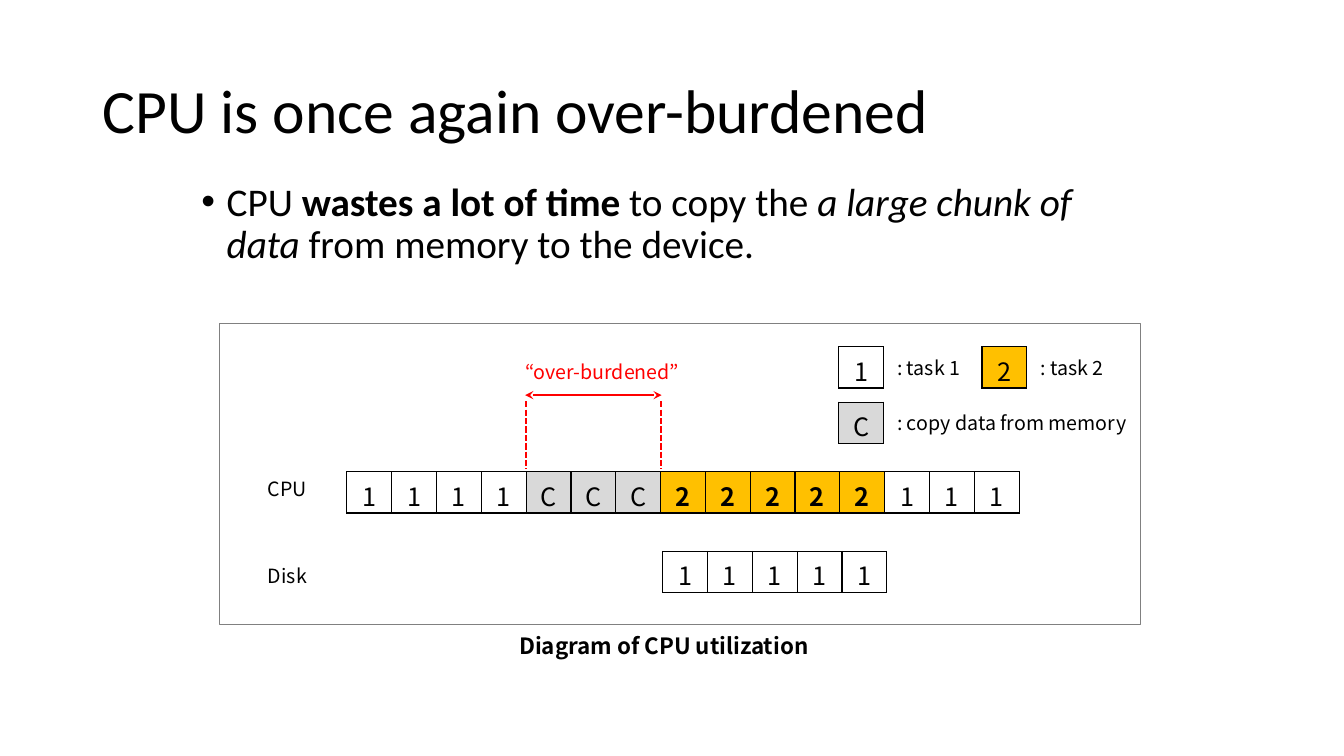
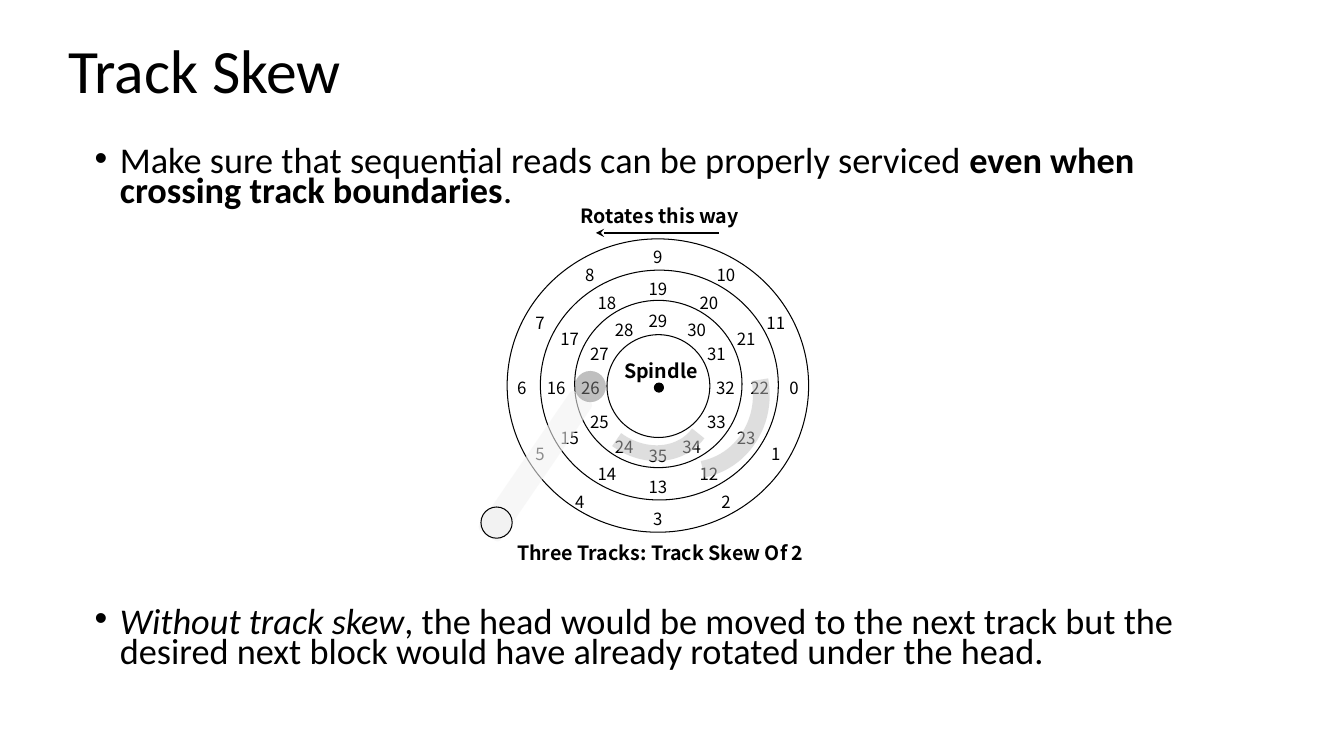
"""Build two slides on CPU utilization and disk track skew."""
from dataclasses import dataclass
from math import cos, radians, sin

from pptx import Presentation
from pptx.dml.color import RGBColor
from pptx.enum.dml import MSO_LINE
from pptx.enum.shapes import MSO_CONNECTOR, MSO_SHAPE
from pptx.enum.text import MSO_ANCHOR, PP_ALIGN
from pptx.oxml import parse_xml
from pptx.oxml.ns import nsdecls, qn
from pptx.oxml.xmlchemy import OxmlElement
from pptx.util import Inches, Pt


@dataclass(frozen=True)
class Theme:
    ink: str = "000000"
    alert: str = "FF0000"
    copying: str = "D9D9D9"
    second_task: str = "FFC000"
    frame: str = "808080"
    arm: str = "F2F2F2"
    swept: str = "BFBFBF"
    heading_font: str = "Calibri"
    diagram_font: str = "Noto Sans CJK KR"
    title: float = 44
    body: float = 28
    tight_body: float = 25.9
    cell: float = 18
    caption: float = 16
    label: float = 14
    sector: float = 12
    hairline: float = 0.75
    border: float = 1
    stroke: float = 1.5


THEME = Theme()
WIDTH, HEIGHT = 13.33, 7.5

BURDEN_TITLE = "CPU is once again over-burdened"
BURDEN_BODY = [("CPU ", ""), ("wastes a lot of time ", "b"), ("to copy the ", ""),
               ("a large chunk of data ", "i"), ("from memory to the device.", "")]
CPU_TASKS, DISK_TASKS = "1111CCC22222111", "11111"
TASK_FILLS = {"C": THEME.copying, "2": THEME.second_task}
LEGEND = [("1", ": task 1", 8.32, 3.44, 1.34), ("2", ": task 2", 9.74, 3.44, 0.87),
          ("C", ": copy data from memory", 8.32, 3.99, 2.66)]
ROW_LABELS = [("CPU", 4.68), ("Disk", 5.55)]
CELL_WIDTH, CELL_HEIGHT = 0.44 + 0.07 / 15, 0.41
CPU_LEFT, CPU_TOP = 3.44, 4.68

SKEW_TITLE = "Track Skew"
SKEW_BULLETS = [
    (1.43, [("Make sure that sequential reads can be properly serviced ", ""),
            ("even when crossing track boundaries", "b"), (".", "")]),
    (6.0, [("Without track skew", "i"),
           (", the head would be moved to the next track but the desired next block "
            "would have already rotated under the head.", "")]),
]
DISK_LABELS = [("Three Tracks: Track Skew Of 2", 5.02, 5.32, 3.06),
               ("Spindle", 6.07, 3.51, 0.97), ("Rotates this way", 5.56, 1.97, 1.97)]
CIRCLES = [(6.02, 3.32, 1.02, 1.02), (5.7, 2.98, 1.66, 1.66),
           (5.36, 2.68, 2.36, 2.28), (5.03, 2.37, 2.99, 2.91)]
TRACK_RADII = [(1.35, 1.3), (1.01, 0.98), (0.67, 0.67)]
SECTORS, SKEW = 12, 2
CENTER_X, CENTER_Y = 6.53, 3.85
NUDGES = {4: -0.1, 30: 0.05}
SWEPT_ARCS = [((5.9, 3.32, 1.06, 1.23), 126.4, 11.25),
              ((6.06, 3.18, 1.53, 1.45), 79.1, 12)]


def color(code):
    return RGBColor.from_string(code)


def fade(element, percent):
    for tint in element.iter(qn("a:srgbClr")):
        alpha = OxmlElement("a:alpha")
        alpha.set("val", str(percent * 1000))
        tint.append(alpha)


def style_runs(para, runs, font, size, tint, bold=False):
    for text, emphasis in runs:
        span = para.add_run()
        span.text = text
        span.font.name, span.font.size = font, Pt(size)
        span.font.bold = bold or emphasis == "b"
        span.font.italic = emphasis == "i"
        span.font.color.rgb = color(tint)


def write(page, area, text, *, size=THEME.label, font=THEME.diagram_font, tint=THEME.ink,
          bold=False, align=PP_ALIGN.LEFT, anchor=MSO_ANCHOR.TOP, spacing=None,
          bullet=False, side=0.1):
    box = page.shapes.add_textbox(*map(Inches, area))
    frame = box.text_frame
    frame.word_wrap, frame.vertical_anchor = True, anchor
    frame.margin_left = frame.margin_right = Inches(side)
    para = frame.paragraphs[0]
    para.alignment = align
    if spacing:
        para.line_spacing = spacing
    if bullet:
        para.space_before = Pt(10)
        properties = para._p.get_or_add_pPr()
        properties.set("marL", str(Inches(0.25)))
        properties.set("indent", str(-Inches(0.25)))
        for tag, key, value in (("a:buFont", "typeface", "Arial"), ("a:buChar", "char", "•")):
            mark = OxmlElement(tag)
            mark.set(key, value)
            properties.append(mark)
    runs = [(text, "")] if isinstance(text, str) else text
    style_runs(para, runs, font, size, tint, bold)


def add_title(page, left, top, text):
    write(page, (left, top, 11.5, 1.45), text, size=THEME.title, font=THEME.heading_font,
          anchor=MSO_ANCHOR.MIDDLE, spacing=0.9)


def draw(page, kind, area, *, fill=None, line=None, weight=THEME.hairline,
         opacity=None, rotation=0):
    shape = page.shapes.add_shape(kind, *map(Inches, area))
    shape.shadow.inherit = False
    shape.rotation = rotation
    if fill:
        shape.fill.solid()
        shape.fill.fore_color.rgb = color(fill)
    else:
        shape.fill.background()
    if line:
        shape.line.color.rgb = color(line)
        shape.line.width = Pt(weight)
    else:
        shape.line.fill.background()
    if opacity:
        fade(shape.element.spPr, opacity)


def connect(page, start, end, *, tint, dashed=False, arrows=()):
    line = page.shapes.add_connector(MSO_CONNECTOR.STRAIGHT, *map(Inches, start + end))
    line.line.color.rgb = color(tint)
    line.line.width = Pt(THEME.stroke)
    if dashed:
        line.line.dash_style = MSO_LINE.SQUARE_DOT
    for end_name in arrows:
        arrow = OxmlElement(f"a:{end_name}")
        arrow.set("type", "stealth")
        line.line._get_or_add_ln().append(arrow)
    line.element.spPr.append(OxmlElement("a:effectLst"))


def add_tasks(page, left, top, tasks, bottom=0.0):
    table = page.shapes.add_table(1, len(tasks), Inches(left), Inches(top),
                                  Inches(CELL_WIDTH * len(tasks)), Inches(CELL_HEIGHT)).table
    table.first_row = table.horz_banding = False
    for column, task in enumerate(tasks):
        table.columns[column].width = Inches(CELL_WIDTH)
        cell = table.cell(0, column)
        cell.margin_top, cell.margin_bottom = Inches(0.05), Inches(bottom)
        for edge in "LRTB":
            cell._tc.get_or_add_tcPr().append(parse_xml(
                f'<a:ln{edge} {nsdecls("a")} w="{Pt(THEME.border)}"><a:solidFill>'
                f'<a:srgbClr val="{THEME.ink}"/></a:solidFill></a:ln{edge}>'))
        if task in TASK_FILLS:
            cell.fill.solid()
            cell.fill.fore_color.rgb = color(TASK_FILLS[task])
        else:
            cell.fill.background()
        para = cell.text_frame.paragraphs[0]
        para.alignment = PP_ALIGN.CENTER
        style_runs(para, [(task, "")], THEME.diagram_font, THEME.cell, THEME.ink,
                   bold=task == "2" and len(tasks) > 1)


def build_burden(page):
    add_title(page, 0.92, 0.4, BURDEN_TITLE)
    write(page, (1.9, 1.76, 9.61, 1.2), BURDEN_BODY, size=THEME.body,
          font=THEME.heading_font, spacing=0.9, bullet=True)
    add_tasks(page, CPU_LEFT, CPU_TOP, CPU_TASKS, bottom=0.05)
    for text, top in ROW_LABELS:
        write(page, (2.56, top, 0.8, 0.34), text)
    write(page, (3.91, 6.22, 5.35, 0.37), "Diagram of CPU utilization", size=THEME.caption,
          bold=True, align=PP_ALIGN.CENTER)
    copy_start = CPU_LEFT + CELL_WIDTH * CPU_TASKS.index("C")
    copy_end = CPU_LEFT + CELL_WIDTH * CPU_TASKS.index("2")
    add_tasks(page, copy_end + 0.02, 5.47, DISK_TASKS)
    for edge in (copy_start, copy_end):
        connect(page, (edge, 3.98), (edge, 4.65), tint=THEME.alert, dashed=True)
    connect(page, (copy_start - 0.01, 3.92), (copy_end + 0.01, 3.92), tint=THEME.alert,
            arrows=("headEnd", "tailEnd"))
    write(page, (5.11, 3.52, 1.8, 0.34), "“over-burdened”", tint=THEME.alert)
    for task, text, left, top, width in LEGEND:
        add_tasks(page, left, top, task)
        write(page, (left + 0.48, top + 0.04, width, 0.34), text)
    draw(page, MSO_SHAPE.RECTANGLE, (2.18, 3.21, 9.13, 2.99), line=THEME.frame)


def build_skew(page):
    add_title(page, 0.58, 0, SKEW_TITLE)
    for top, runs in SKEW_BULLETS:
        write(page, (0.84, top, 11.58, 0.9), runs, size=THEME.tight_body,
              font=THEME.heading_font, spacing=0.7, bullet=True)
    for area in CIRCLES:
        draw(page, MSO_SHAPE.OVAL, area, line=THEME.ink)
    for track, (radius_x, radius_y) in enumerate(TRACK_RADII):
        for step in range(SECTORS):
            number = track * SECTORS + step
            angle = radians((step + track * SKEW) * 360 / SECTORS)
            left = CENTER_X + radius_x * cos(angle) - 0.2 + NUDGES.get(number, 0)
            top = CENTER_Y + radius_y * sin(angle) - 0.15
            write(page, (left, top, 0.39, 0.3), str(number), size=THEME.sector,
                  align=PP_ALIGN.CENTER, side=0)
    draw(page, MSO_SHAPE.OVAL, (6.49, 3.8, 0.09, 0.09), fill=THEME.ink, line=THEME.ink)
    for text, left, top, width in DISK_LABELS:
        write(page, (left, top, width, 0.34), text, bold=True, align=PP_ALIGN.CENTER)
    connect(page, (7.13, 2.31), (5.91, 2.31), tint=THEME.ink, arrows=("tailEnd",))
    draw(page, MSO_SHAPE.ROUNDED_RECTANGLE, (5.18, 3.79, 0.26, 1.67), fill=THEME.arm,
         opacity=58, rotation=34.4)
    draw(page, MSO_SHAPE.OVAL, (5.7, 3.68, 0.31, 0.31), fill=THEME.frame, opacity=50)
    draw(page, MSO_SHAPE.OVAL, (4.77, 5.03, 0.31, 0.31), fill=THEME.arm, line=THEME.ink)
    for area, rotation, weight in SWEPT_ARCS:
        draw(page, MSO_SHAPE.ARC, area, line=THEME.swept, weight=weight, opacity=50,
             rotation=rotation)


def main():
    deck = Presentation()
    deck.slide_width, deck.slide_height = Inches(WIDTH), Inches(HEIGHT)
    for build in (build_burden, build_skew):
        build(deck.slides.add_slide(deck.slide_layouts[6]))
    deck.save("out.pptx")


if __name__ == "__main__":
    main()
